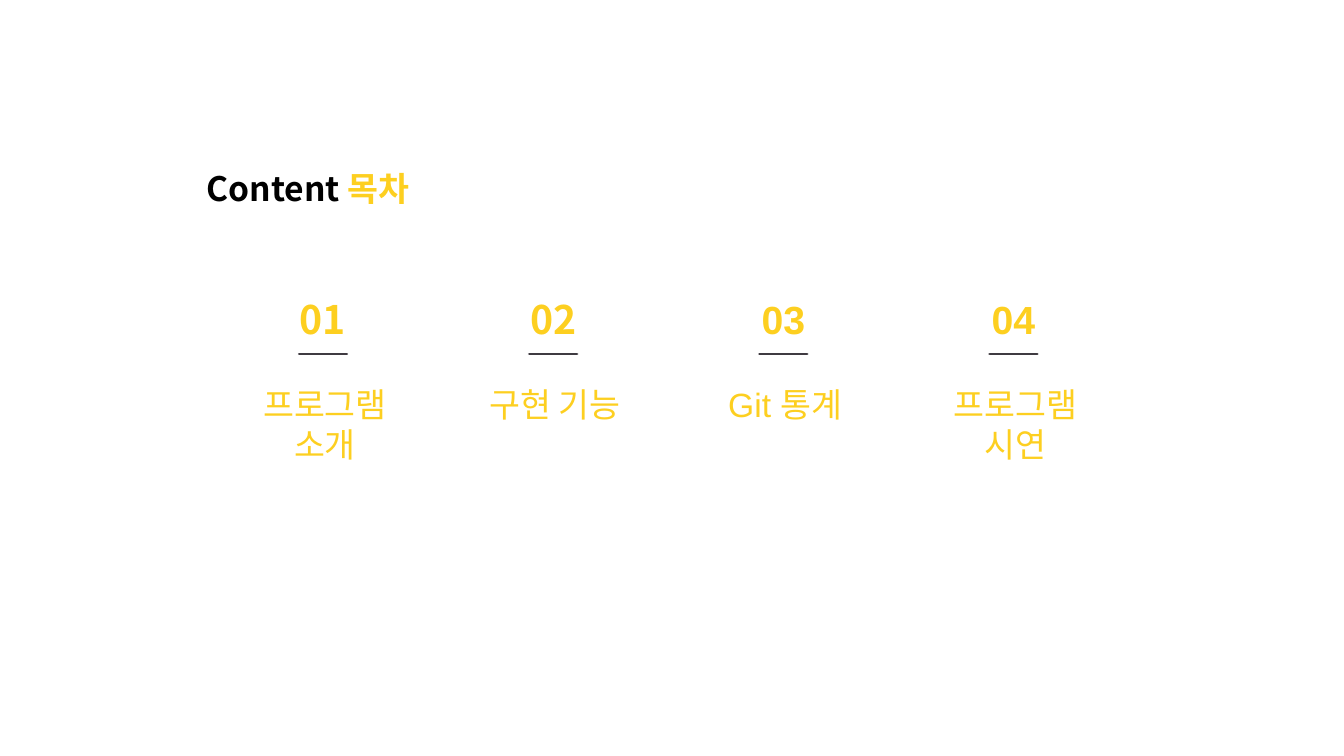
"""Build a contents slide with four numbered sections."""
import pptx
import pptx.util
import pptx.dml.color
import pptx.enum.shapes
import pptx.enum.text
from lxml import etree

Cm = pptx.util.Cm
Pt = pptx.util.Pt
RGB = pptx.dml.color.RGBColor.from_string
Align = pptx.enum.text.PP_ALIGN

colors = {"gold": "FDCF20", "black": "000000", "line": "3F3B41"}
noto = "Noto Sans CJK KR"
arial = "Arial"


def style(font, name, size, color, bold):
    font.name = name
    font.size = Pt(size)
    font.bold = bold
    font.color.rgb = RGB(colors[color])


def fit(frame):
    frame.word_wrap = True
    frame.auto_size = pptx.enum.text.MSO_AUTO_SIZE.SHAPE_TO_FIT_TEXT
    frame.vertical_anchor = pptx.enum.text.MSO_ANCHOR.TOP


deck = pptx.Presentation()
deck.slide_width = Cm(33.87)
deck.slide_height = Cm(19.05)
slide = deck.slides.add_slide(deck.slide_layouts[5])

title = slide.shapes.title
title.left, title.top = Cm(4.95), Cm(4.11)
title.width, title.height = Cm(6.58), Cm(1.28)
fit(title.text_frame)
para = title.text_frame.paragraphs[0]
para.alignment = Align.LEFT
for text, color in (("Content ", "black"), ("목차", "gold")):
    run = para.add_run()
    run.text = text
    style(run.font, noto, 24, color, True)

items = [
    ("프로그램 소개", noto, noto, 5, 2.29),
    ("구현 기능", noto, arial, 5, 1.25),
    ("Git 통계", arial, arial, 5.6, 1.25),
    ("프로그램 시연", arial, arial, 5, 2.29),
]
pitch = 5.8
for i, (name, numfont, font, width, height) in enumerate(items):
    mid = 8.14 + i * pitch
    parts = (
        (f"{i + 1:02}", mid - 0.9, 7.32, 1.8, 1.45, numfont, 28, True),
        (name, mid + 0.05 - width / 2, 9.55, width, height, font, 24, False),
    )
    for text, x, y, w, h, face, size, bold in parts:
        box = slide.shapes.add_textbox(Cm(x), Cm(y), Cm(w), Cm(h))
        fit(box.text_frame)
        para = box.text_frame.paragraphs[0]
        para.text = text
        para.alignment = Align.CENTER
        style(para.font, face, size, "gold", bold)

    rule = slide.shapes.add_connector(
        pptx.enum.shapes.MSO_CONNECTOR.STRAIGHT,
        Cm(mid - 0.6), Cm(8.92), Cm(mid + 0.6), Cm(8.92))
    rule.line.color.rgb = RGB(colors["line"])
    rule.line.width = Pt(2)
    rule.line._get_or_add_ln().set("cap", "rnd")
    props = rule._element.spPr
    etree.SubElement(props, pptx.oxml.ns.qn("a:effectLst"))

deck.save("out.pptx")
